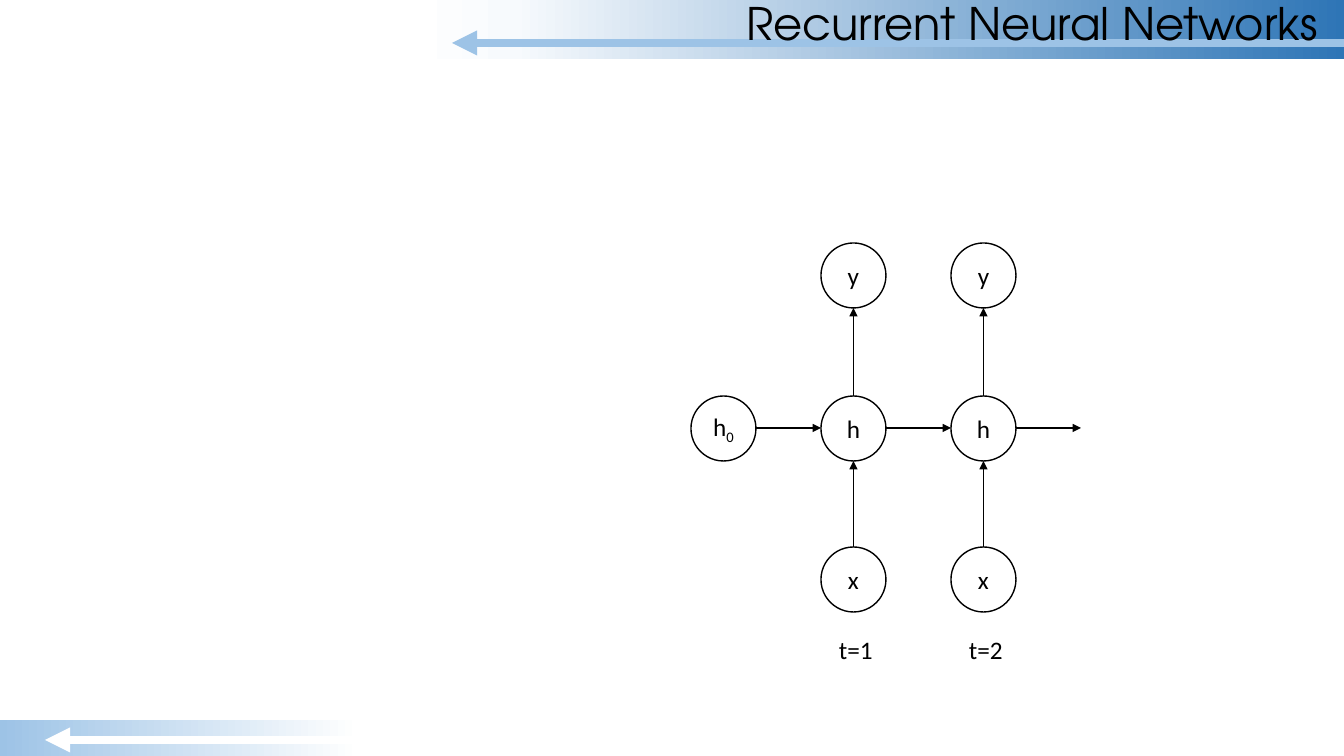
import pptx
import pptx.dml.color
import pptx.enum.shapes
import pptx.enum.text
import pptx.oxml.ns
import pptx.util
import lxml.etree

SCALE = 12192000 / 1344  # EMU per px
COLORS = {
    "black": "000000",
    "white": "FFFFFF",
    "pale": "F7FAFD",
    "sky": "9DC3E6",
    "blue": "2E75B6",
}
BODY_FONT = "Calibri"
TITLE_FONT = "TeX Gyre Adventor"

NODE = 65                                # circle diameter
FIRST_LEFT, STEP = 821, 130              # time-step columns
ROWS = {"y": 243, "h": 396, "x": 547}    # circle tops
MID = ROWS["h"] + NODE // 2


def px(n):
    return pptx.util.Emu(round(n * SCALE))


def rgb(name):
    return pptx.dml.color.RGBColor.from_string(COLORS[name])


def sub(parent, tag, **attrs):
    return lxml.etree.SubElement(parent, pptx.oxml.ns.qn(tag), **attrs)


def set_font(p, size, name):
    p.font.size = pptx.util.Pt(size)
    p.font.name = name
    p.font.color.rgb = rgb("black")


def add_band(slide, left, top, width, height, stops):
    """Rectangle with a left-to-right gradient of (percent, colour) stops."""
    sp = slide.shapes.add_shape(pptx.enum.shapes.MSO_SHAPE.RECTANGLE,
                                px(left), px(top), px(width), px(height))
    sp.shadow.inherit = False
    sp.line.fill.background()
    sp.fill.gradient()
    sp.fill.gradient_angle = 0
    gs_list = sp._element.spPr.find(".//" + pptx.oxml.ns.qn("a:gsLst"))
    for gs in list(gs_list):
        gs_list.remove(gs)
    for percent, color in stops:
        gs = sub(gs_list, "a:gs", pos=str(percent * 1000))
        sub(gs, "a:srgbClr", val=COLORS[color])


def add_arrow(slide, x1, y1, x2, y2, color="black", weight=1):
    c = slide.shapes.add_connector(pptx.enum.shapes.MSO_CONNECTOR.STRAIGHT,
                                   px(x1), px(y1), px(x2), px(y2))
    c.line.color.rgb = rgb(color)
    c.line.width = pptx.util.Pt(weight)
    sub(c.line._get_or_add_ln(), "a:tailEnd", type="triangle")
    sub(c._element.spPr, "a:effectLst")


def add_node(slide, left, top, text, subscript=""):
    sp = slide.shapes.add_shape(pptx.enum.shapes.MSO_SHAPE.OVAL,
                                px(left), px(top), px(NODE), px(NODE))
    sp.shadow.inherit = False
    sp.fill.background()
    sp.line.color.rgb = rgb("black")
    sp.line.width = pptx.util.Pt(1)
    tf = sp.text_frame
    tf.margin_left = tf.margin_right = 0
    tf.vertical_anchor = pptx.enum.text.MSO_ANCHOR.MIDDLE
    p = tf.paragraphs[0]
    p.alignment = pptx.enum.text.PP_ALIGN.CENTER
    set_font(p, 18, BODY_FONT)
    p.add_run().text = text
    if subscript:
        r = p.add_run()
        r.text = subscript
        r.font._element.set("baseline", "-25000")


def add_label(slide, left, top, width, height, text, size, font):
    sp = slide.shapes.add_textbox(px(left), px(top), px(width), px(height))
    tf = sp.text_frame
    tf.word_wrap = False
    p = tf.paragraphs[0]
    p.text = text
    set_font(p, size, font)
    return tf


def add_title(slide, text):
    tf = add_label(slide, 726, 17, 602, 18, text, 32, TITLE_FONT)
    tf.word_wrap = True
    tf.vertical_anchor = pptx.enum.text.MSO_ANCHOR.MIDDLE
    tf.paragraphs[0].alignment = pptx.enum.text.PP_ALIGN.RIGHT
    tf.paragraphs[0].line_spacing = 0.9


def add_time_step(slide, index):
    """One column x -> h -> y, with its outgoing arrow and label."""
    left = FIRST_LEFT + index * STEP
    mid_x = left + NODE / 2
    for text, top in ROWS.items():
        add_node(slide, left, top, text)
    add_arrow(slide, mid_x, ROWS["h"], mid_x, ROWS["y"] + NODE)
    add_arrow(slide, mid_x, ROWS["x"], mid_x, ROWS["h"] + NODE)
    add_arrow(slide, left + NODE, MID, left + STEP, MID)
    add_label(slide, left + 8, 629, 54, 40, f"t={index + 1}", 18, BODY_FONT)


def main():
    prs = pptx.Presentation()
    prs.slide_width, prs.slide_height = px(1344), px(756)
    slide = prs.slides.add_slide(prs.slide_layouts[6])

    # Header and footer bands
    add_band(slide, 411, 0, 933, 59,
             [(0, "white"), (11, "pale"), (100, "blue")])
    add_arrow(slide, 1344, 43, 452, 43, "sky", 6)
    add_band(slide, 0, 720, 529, 36,
             [(0, "sky"), (68, "white"), (100, "white")])
    add_arrow(slide, 937, 740, 45, 740, "white", 6)
    add_title(slide, "Recurrent Neural Networks")

    # Initial state
    start = FIRST_LEFT - STEP
    add_node(slide, start, ROWS["h"], "h", "0")
    add_arrow(slide, start + NODE, MID, FIRST_LEFT, MID)

    # Unrolled time steps
    for index in range(2):
        add_time_step(slide, index)

    prs.save("out.pptx")


if __name__ == "__main__":
    main()
